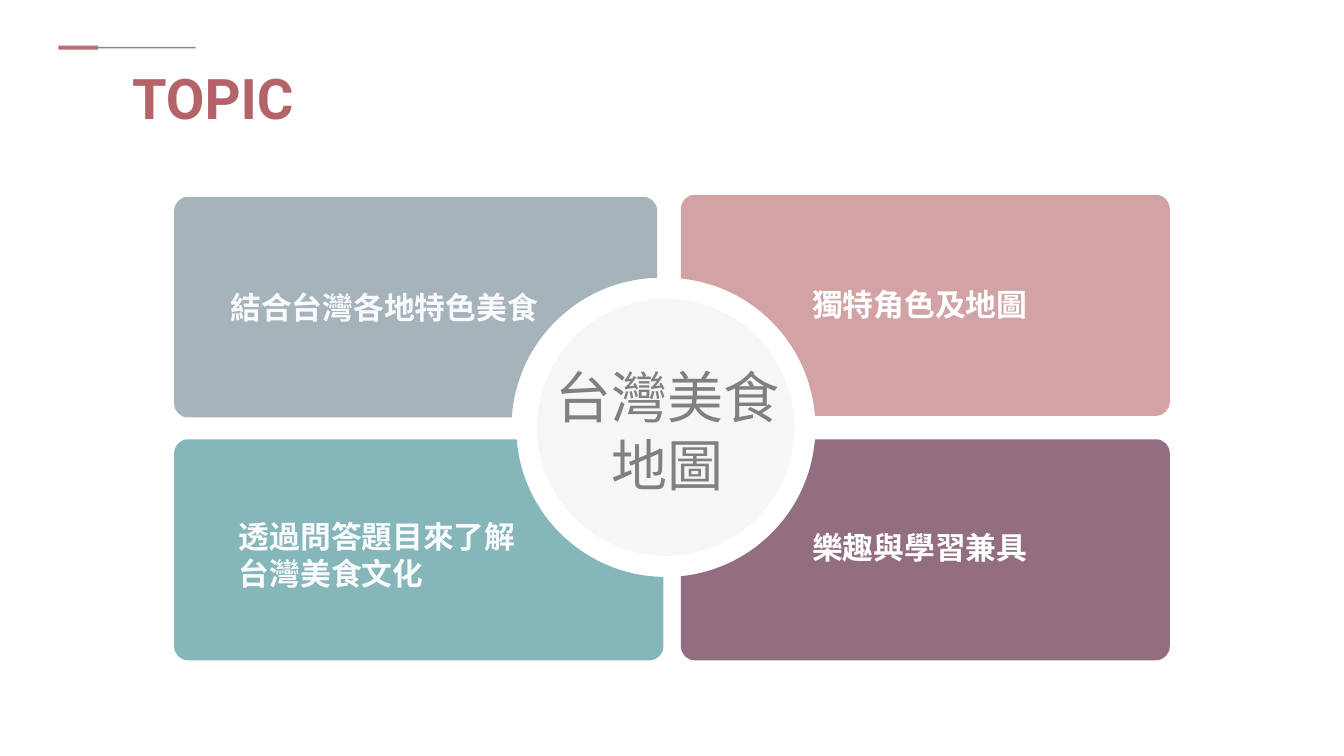
"""Build the topic slide: four panels around a central circle."""
import math

import pptx
import pptx.dml.color
import pptx.enum.shapes
import pptx.enum.text
import pptx.oxml.ns
import pptx.util
from lxml import etree

Cm = pptx.util.Cm
Pt = pptx.util.Pt
RGB = pptx.dml.color.RGBColor
PP_ALIGN = pptx.enum.text.PP_ALIGN
qn = pptx.oxml.ns.qn

RED = RGB(0xB4, 0x64, 0x69)
GREY = RGB(0x80, 0x80, 0x80)
WHITE = RGB(0xFF, 0xFF, 0xFF)
OFF_WHITE = RGB(0xF8, 0xFA, 0xFC)
PALE = RGB(0xF6, 0xF6, 0xF6)
SLATE = RGB(0xA5, 0xB3, 0xBB)
TEAL = RGB(0x84, 0xB6, 0xBA)
PINK = RGB(0xD2, 0xA2, 0xA5)
PLUM = RGB(0x92, 0x6E, 0x80)

FONT = "Roboto"
CENTER_X, CENTER_Y = 16.78, 10.77
CUT_RADIUS = 3.77
DISC_RADIUS = 3.24
CORNER = 0.35


def arc(x, y, radius, start, end):
    """Return the four Bezier points of an arc, with angles in radians."""
    k = 4 / 3 * math.tan((end - start) / 4)
    (c0, s0), (c1, s1) = [(math.cos(a), math.sin(a)) for a in (start, end)]
    units = [(c0, s0), (c0 - k * s0, s0 + k * c0), (c1 + k * s1, s1 - k * c1), (c1, s1)]
    return [(x + radius * u, y + radius * v) for u, v in units]


def paint(sp, color):
    """Give a shape a flat fill without line or shadow."""
    sp.fill.solid()
    sp.fill.fore_color.rgb = color
    sp.line.fill.background()
    sp.shadow.inherit = False


def add_arc_outline(shapes, arcs, color):
    """Add a closed freeform of arcs joined by straight lines."""
    points = [point for curve in arcs for point in (curve[0], curve[3])]
    builder = shapes.build_freeform(*points[0])
    builder.add_line_segments(points[1:], close=True)
    sp = builder.convert_to_shape()
    segments = list(sp._element.iter(qn("a:lnTo")))
    for segment, curve in zip(segments[::2], arcs):
        segment.tag = qn("a:cubicBezTo")
        for i, (x, y) in enumerate(curve[1:3]):
            pt = etree.Element(qn("a:pt"), x=str(x - sp.left), y=str(y - sp.top))
            segment.insert(i, pt)
    paint(sp, color)


def add_panel(shapes, cut_x, inner, outer, color):
    """Add a rounded panel whose inner corner is cut by the central circle."""
    sx = math.copysign(1, outer[0] - cut_x)
    sy = math.copysign(1, outer[1] - CENTER_Y)
    u0, u1 = (abs(x - cut_x) for x in (inner[0], outer[0]))
    v0, v1 = (abs(y - CENTER_Y) for y in (inner[1], outer[1]))
    u0 = sx * (inner[0] - cut_x)
    quarter = math.pi / 2
    arcs = [arc(0, 0, CUT_RADIUS, math.asin(v0 / CUT_RADIUS), math.acos(u0 / CUT_RADIUS))]
    corners = [(u0 + CORNER, v1 - CORNER), (u1 - CORNER, v1 - CORNER), (u1 - CORNER, v0 + CORNER)]
    for i, (u, v) in enumerate(corners):
        arcs.append(arc(u, v, CORNER, (2 - i) * quarter, (1 - i) * quarter))
    placed = [[(Cm(cut_x + sx * u), Cm(CENTER_Y + sy * v)) for u, v in a] for a in arcs]
    add_arc_outline(shapes, placed, color)


def add_disc(shapes):
    """Add the pale disc in the centre."""
    sp = shapes.add_shape(
        pptx.enum.shapes.MSO_SHAPE.OVAL, Cm(CENTER_X - DISC_RADIUS),
        Cm(CENTER_Y - DISC_RADIUS), Cm(2 * DISC_RADIUS), Cm(2 * DISC_RADIUS))
    paint(sp, PALE)


def add_rule(s, x1, x2, y, color, width):
    """Add a slightly transparent horizontal line."""
    line = s.shapes.add_connector(
        pptx.enum.shapes.MSO_CONNECTOR.STRAIGHT, Cm(x1), Cm(y), Cm(x2), Cm(y))
    line.line.color.rgb = color
    line.line.width = Pt(width)
    sp_pr = line._element.spPr
    clr = sp_pr.find(".//" + qn("a:srgbClr"))
    etree.SubElement(clr, qn("a:alpha"), val="92000")
    etree.SubElement(sp_pr, qn("a:effectLst"))


def add_text(s, box, text, size, color, bold=True, align=None, spacing=None):
    """Add a wrapped text box with one format for all its paragraphs."""
    tf = s.shapes.add_textbox(*map(Cm, box)).text_frame
    tf.word_wrap = True
    tf.text = text
    for p in tf.paragraphs:
        p.alignment = align
        p.line_spacing = spacing
        for r in p.runs:
            r.font.name = FONT
            r.font.size = Pt(size)
            r.font.bold = bold
            r.font.color.rgb = color
    return tf


def main():
    """Build and save the slide."""
    prs = pptx.Presentation()
    prs.slide_width, prs.slide_height = Cm(33.87), Cm(19.05)
    s = prs.slides.add_slide(prs.slide_layouts[6])

    add_rule(s, 2.47, 4.93, 1.2, GREY, 1)
    add_rule(s, 1.47, 2.47, 1.2, RED, 3)
    title = add_text(s, (2.74, 1.47, 11.84, 1.96), "TOPIC", 40, RED)
    title.margin_left = Cm(0.59)

    left, right, bottom = 4.39, 29.48, 16.64
    panels = s.shapes.add_group_shape().shapes
    for cut_x, inner, outer, color in [
        (16.66, (16.56, 10.52), (left, 4.96), SLATE),
        (CENTER_X, (16.72, 11.07), (left, bottom), TEAL),
        (CENTER_X, (17.16, 10.48), (right, 4.91), PINK),
        (CENTER_X, (17.16, 11.07), (right, bottom), PLUM),
    ]:
        add_panel(panels, cut_x, inner, outer, color)
    add_disc(panels)

    add_text(s, (20.22, 7.44, 7.44, 0.89), "獨特角色及地圖", 22, WHITE, spacing=Pt(16))
    add_text(s, (5.77, 12.93, 8.38, 2.74), "透過問答題目來了解\n台灣美食文化", 22, OFF_WHITE)
    add_text(s, (20.22, 13.56, 7.44, 0.89), "樂趣與學習兼具", 22, WHITE, spacing=Pt(16))
    add_text(s, (13.49, 9.02, 6.68, 3.68), "台灣美食地圖", 40, GREY, False, PP_ALIGN.CENTER)
    add_text(s, (5.56, 7.14, 8.76, 1.19), "結合台灣各地特色美食", 22, OFF_WHITE)

    prs.save("out.pptx")


main()
